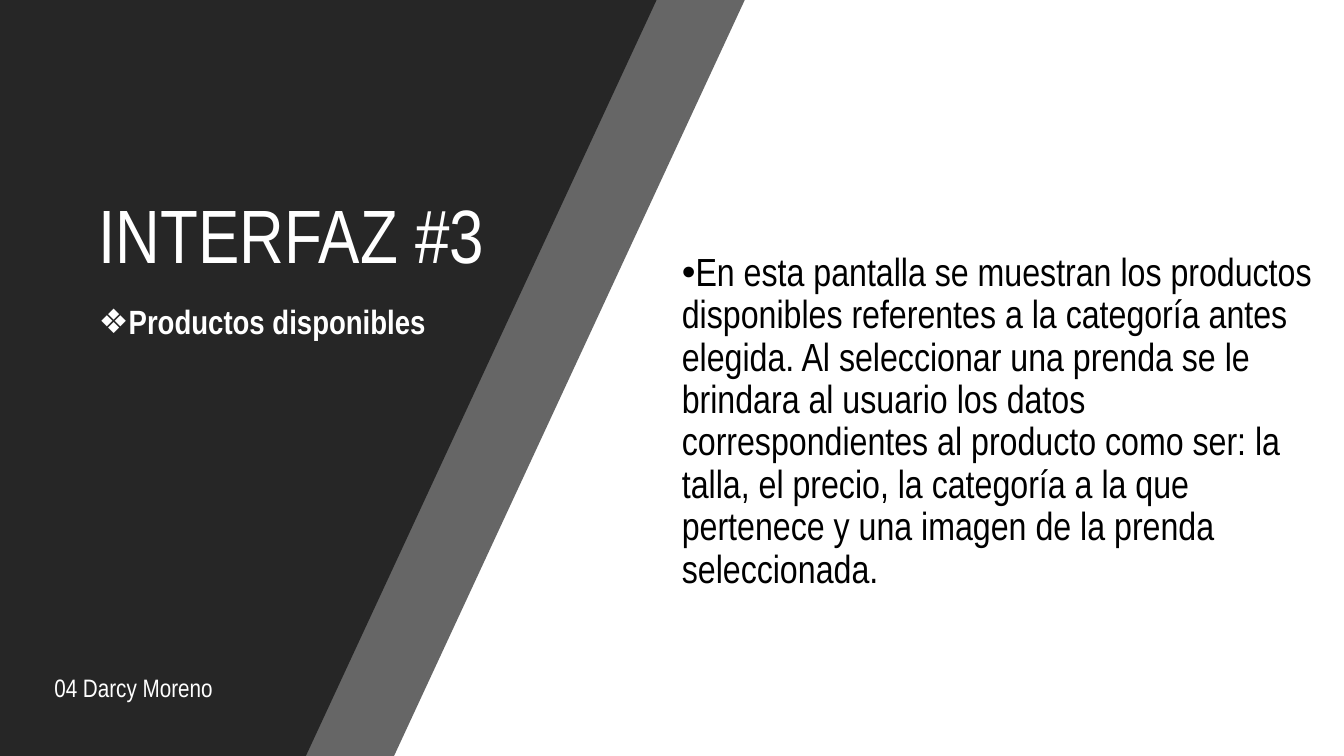
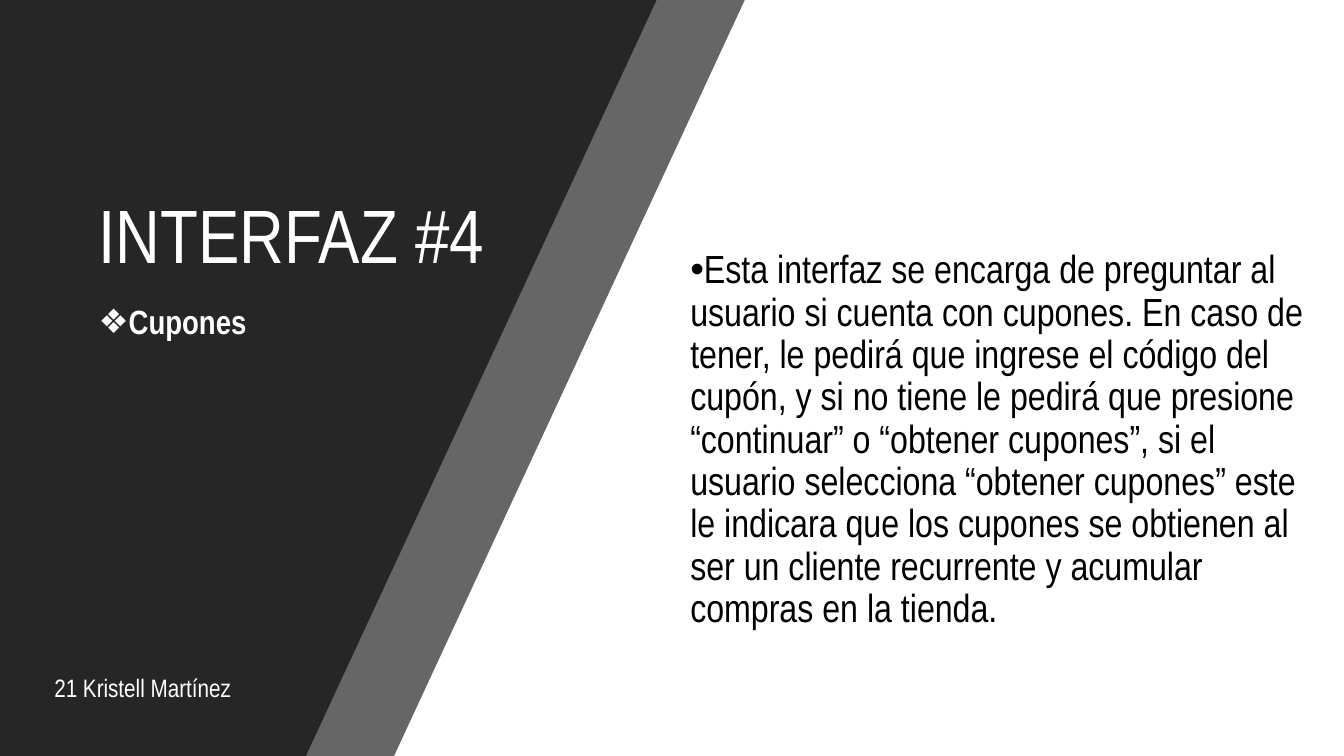
from lxml.etree import SubElement
from pptx import Presentation
from pptx.dml.color import RGBColor
from pptx.enum.text import MSO_ANCHOR, MSO_AUTO_SIZE
from pptx.oxml.ns import qn
from pptx.util import Pt

WIDTH, HEIGHT = 960, 540
FONT = "Arial Narrow"
WHITE, BLACK, CHARCOAL = "FFFFFF", "000000", "262626"

SCREENS = [
    {
        "title": "INTERFAZ #3",
        "topic": "Productos disponibles",
        "description": "En esta pantalla se muestran los productos disponibles "
        "referentes a la categoría antes elegida. Al seleccionar una prenda se le "
        "brindara al usuario los datos correspondientes al producto como ser: la "
        "talla, el precio, la categoría a la que pertenece y una imagen de la "
        "prenda seleccionada.",
        "description_at": (480, 177),
        "presenter": "04 Darcy Moreno",
    },
    {
        "title": "INTERFAZ #4",
        "topic": "Cupones",
        "description": "Esta interfaz se encarga de preguntar al usuario si cuenta "
        "con cupones. En caso de tener, le pedirá que ingrese el código del cupón, "
        "y si no tiene le pedirá que presione “continuar” o “obtener cupones”, si "
        "el usuario selecciona “obtener cupones” este le indicara que los cupones "
        "se obtienen al ser un cliente recurrente y acumular compras en la tienda.",
        "description_at": (486, 175),
        "presenter": "21 Kristell Martínez",
    },
]


def paint(fill, color, opacity=100):
    fill.solid()
    fill.fore_color.rgb = RGBColor.from_string(color)
    if opacity < 100:
        color_node = fill.fore_color._xFill.find(qn("a:srgbClr"))
        SubElement(color_node, qn("a:alpha"), val=str(opacity * 1000))


def add_band(slide, top_right, bottom_right, opacity=100):
    outline = slide.shapes.build_freeform(Pt(0), Pt(0))
    corners = [(top_right, 0), (bottom_right, HEIGHT), (0, HEIGHT)]
    outline.add_line_segments([(Pt(x), Pt(y)) for x, y in corners])
    band = outline.convert_to_shape()
    band.shadow.inherit = False
    band.line.fill.background()
    paint(band.fill, CHARCOAL, opacity)


def add_text(slide, text, left, top, width, height, size, color=WHITE, bold=False):
    box = slide.shapes.add_textbox(Pt(left), Pt(top), Pt(width), Pt(height))
    frame = box.text_frame
    frame.word_wrap = True
    frame.text = text
    paragraph = frame.paragraphs[0]
    font = paragraph.runs[0].font
    font.name = FONT
    font.size = Pt(size)
    font.bold = bold
    font.color.rgb = RGBColor.from_string(color)
    return frame, paragraph


def set_bullet(paragraph, symbol, margin, indent):
    properties = paragraph._p.get_or_add_pPr()
    properties.set("marL", str(Pt(margin)))
    properties.set("indent", str(Pt(indent)))
    SubElement(properties, qn("a:buFont"), typeface="Arial")
    SubElement(properties, qn("a:buChar"), char=symbol)


def add_title(slide, text):
    frame, paragraph = add_text(slide, text, 63.4, 26.6, 305.3, 177.1, 54)
    frame.vertical_anchor = MSO_ANCHOR.BOTTOM
    paragraph.line_spacing = 0.9


def add_topic(slide, text):
    _, paragraph = add_text(slide, text, 63.4, 214.6, 280, 90.7, 24, bold=True)
    paragraph.line_spacing = 0.9
    paragraph.space_before = Pt(10)
    set_bullet(paragraph, "❖", 9, -27)


def add_description(slide, text, position):
    _, paragraph = add_text(slide, text, *position, 463.7, 412.6, 28, BLACK)
    paragraph.line_spacing = 0.9
    paragraph.space_after = Pt(6)
    set_bullet(paragraph, "•", 0, -18)


def add_presenter(slide, text):
    frame, _ = add_text(slide, text, 31.7, 476.6, 190.8, 28.8, 18)
    frame.auto_size = MSO_AUTO_SIZE.SHAPE_TO_FIT_TEXT


def add_screen(deck, screen):
    slide = deck.slides.add_slide(deck.slide_layouts[6])
    paint(slide.background.fill, WHITE)
    add_band(slide, 532, 281.5, opacity=70)
    add_band(slide, 469, 218.5)
    add_description(slide, screen["description"], screen["description_at"])
    add_title(slide, screen["title"])
    add_topic(slide, screen["topic"])
    add_presenter(slide, screen["presenter"])


def main():
    deck = Presentation()
    deck.slide_width, deck.slide_height = Pt(WIDTH), Pt(HEIGHT)
    for screen in SCREENS:
        add_screen(deck, screen)
    deck.save("out.pptx")


if __name__ == "__main__":
    main()
